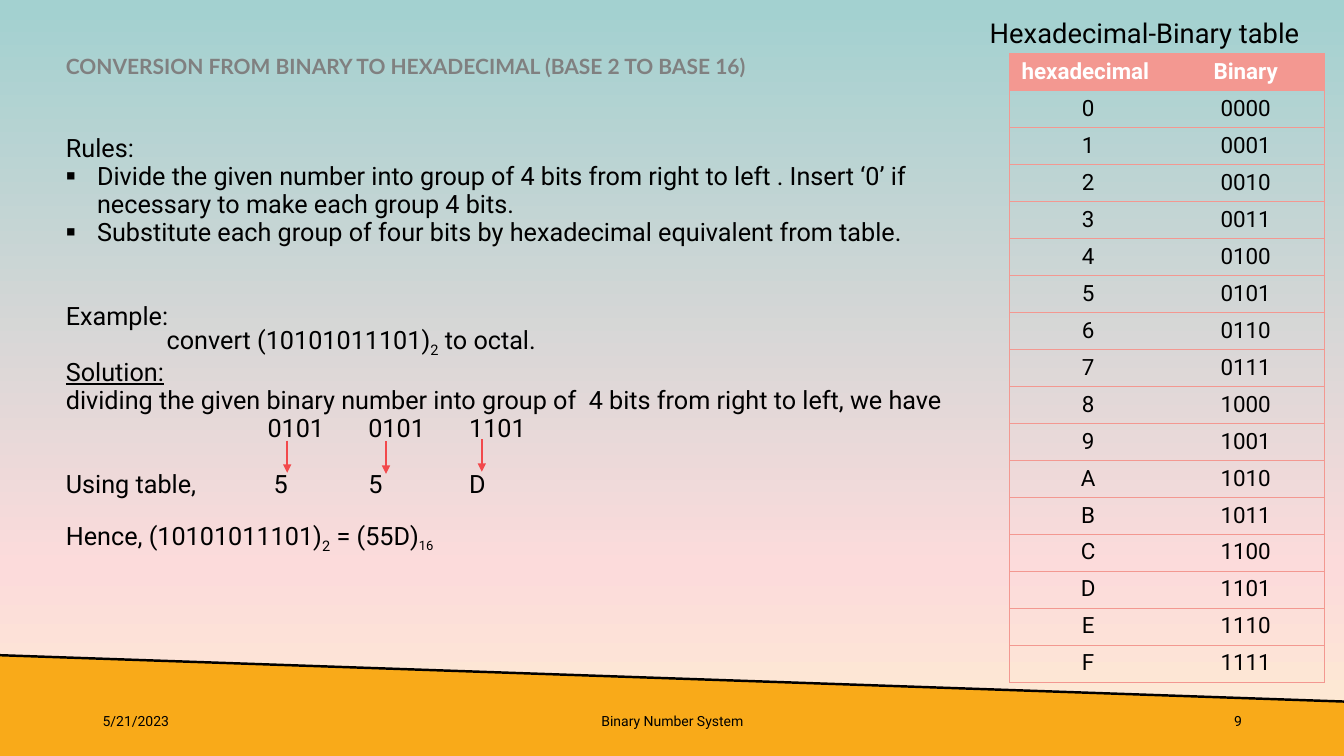
from copy import deepcopy

from lxml import etree
from pptx import Presentation
from pptx import util as u
from pptx.dml.color import RGBColor
from pptx.enum import shapes, text
from pptx.oxml.ns import qn

WIDTH, HEIGHT = u.Inches(13.33), u.Inches(7.5)
TAB_SIZE = str(u.Inches(1))
COLORS = {
    "sky": "A3D1D0", "blush": "FCDBDB", "cream": "FEEED1",
    "band": "F9AA19", "ink": "000000", "heading": "808080",
    "arrow": "F2494C", "table": "F39891", "white": "FFFFFF",
}
PLAIN_TABLE_STYLE = "{2D5ABB26-0587-4C30-8999-92F81FD0307C}"
SUB = {"baseline": -25000}
BODY = [
    ({}, [("Rules:", {})]),
    ({"bullet": "▪"}, [("Divide the given number into group of 4 bits from right to left . "
                        "Insert ‘0’ if necessary to make each group 4 bits.", {})]),
    ({"bullet": "▪"}, [("Substitute each group of four bits by hexadecimal equivalent from table.", {})]),
    ({"before": 40}, [("Example:", {})]),
    ({}, [("\tconvert (10101011101)", {}), ("2", SUB), (" to octal.", {})]),
    ({}, [("Solution:", {"underline": True})]),
    ({}, [("dividing the given binary number into group of  4 bits from right to left, we have", {})]),
    ({}, [("\t\t0101\t0101\t1101", {})]),
    ({"before": 20}, [("Using table,\t 5\t5\tD", {})]),
    ({"before": 20}, [("Hence, (10101011101)", {}), ("2", SUB), (" = (55D)", {}),
                      ("16", {"size": 16, **SUB})]),
]


def across(percent):
    return round(WIDTH * percent / 100)


def down(percent):
    return round(HEIGHT * percent / 100)


def area(left, top, width, height):
    return across(left), down(top), across(width), down(height)


def color(name):
    return RGBColor.from_string(COLORS[name])


def add_run(paragraph, content, size, name="ink", font="Roboto", bold=False,
            underline=False, baseline=0):
    run = paragraph.add_run()
    run.text = content
    run.font.size = u.Pt(size)
    run.font.name = font
    run.font.bold = bold
    run.font.underline = underline
    run.font.color.rgb = color(name)
    if baseline:
        run._r.get_or_add_rPr().set("baseline", str(baseline))


def add_label(slide, box, content, size, align=text.PP_ALIGN.LEFT, leading=None):
    frame = slide.shapes.add_textbox(*area(*box)).text_frame
    frame.word_wrap = True
    frame.vertical_anchor = text.MSO_ANCHOR.MIDDLE
    paragraph = frame.paragraphs[0]
    paragraph.alignment = align
    if leading:
        paragraph.line_spacing = u.Pt(leading)
    add_run(paragraph, content, size)


def add_line(slide, start, end, name, width, arrow=False):
    line = slide.shapes.add_connector(
        shapes.MSO_CONNECTOR.STRAIGHT,
        across(start[0]), down(start[1]), across(end[0]), down(end[1]))
    line.line.color.rgb = color(name)
    line.line.width = u.Pt(width)
    if arrow:
        etree.SubElement(line.line._get_or_add_ln(), qn("a:tailEnd"), type="triangle")
    etree.SubElement(line._element.spPr, qn("a:effectLst"))


def paint_background(slide):
    fill = slide.background.fill
    fill.gradient()
    fill.gradient_angle = 270
    stops = slide.element.find(".//" + qn("a:gsLst"))
    stops.append(deepcopy(stops[-1]))
    for stop, (position, name) in zip(
            fill.gradient_stops, [(0.01, "sky"), (0.75, "blush"), (1, "cream")]):
        stop.position = position
        stop.color.rgb = color(name)


def add_band(slide):
    builder = slide.shapes.build_freeform(0, down(86.67))
    builder.add_line_segments([(WIDTH, down(92.8)), (WIDTH, HEIGHT), (0, HEIGHT)])
    band = builder.convert_to_shape()
    band.shadow.inherit = False
    band.fill.solid()
    band.fill.fore_color.rgb = color("band")
    band.line.fill.background()
    add_line(slide, (0, 86.67), (100, 92.8), "ink", 1.75)


def place(placeholder, box, anchor):
    placeholder.left, placeholder.top, placeholder.width, placeholder.height = area(*box)
    frame = placeholder.text_frame
    frame.word_wrap = True
    frame.auto_size = text.MSO_AUTO_SIZE.NONE
    frame.vertical_anchor = anchor
    return frame


def fill_title(slide):
    frame = place(slide.shapes.title, (4.15, 4.67, 60, 6.67), text.MSO_ANCHOR.MIDDLE)
    paragraph = frame.paragraphs[0]
    paragraph.alignment = text.PP_ALIGN.LEFT
    paragraph.line_spacing = u.Pt(26)
    add_run(paragraph, "CONVERSION FROM BINARY TO HEXADECIMAL (BASE 2 TO BASE 16)",
            15, "heading", "Lato", True)


def widen_tabs(presentation):
    for root in (presentation.element, presentation.slide_master.element):
        for element in root.iter():
            if "defTabSz" in element.attrib:
                element.set("defTabSz", TAB_SIZE)


def format_paragraph(paragraph, bullet=None, before=0):
    paragraph.line_spacing = u.Pt(20)
    paragraph.space_before = u.Pt(before)
    properties = paragraph._p.get_or_add_pPr()
    indent = u.Inches(0.31) if bullet else 0
    properties.set("marL", str(indent))
    properties.set("indent", str(-indent))
    properties.set("defTabSz", TAB_SIZE)
    if bullet:
        etree.SubElement(properties, qn("a:buFont"), typeface="Roboto")
        etree.SubElement(properties, qn("a:buChar"), char=bullet)
    else:
        etree.SubElement(properties, qn("a:buNone"))


def fill_body(slide):
    frame = place(slide.placeholders[1], (4.15, 17.1, 70.95, 57.47), text.MSO_ANCHOR.TOP)
    for index, (layout, runs) in enumerate(BODY):
        paragraph = frame.add_paragraph() if index else frame.paragraphs[0]
        format_paragraph(paragraph, **layout)
        for content, style in runs:
            add_run(paragraph, content, **{"size": 18, **style})


def add_borders(cell, sides):
    properties = cell._tc.get_or_add_tcPr()
    for index, side in enumerate(sides):
        border = etree.Element(qn("a:ln" + side), w=str(u.Pt(0.5)))
        solid = etree.SubElement(border, qn("a:solidFill"))
        etree.SubElement(solid, qn("a:srgbClr"), val=COLORS["table"])
        properties.insert(index, border)


def add_hex_table(slide):
    rows = [("hexadecimal ", "Binary")] + [(f"{n:X}", f"{n:04b}") for n in range(16)]
    box = area(75.1, 7.07, 23.45, 83.07)
    table = slide.shapes.add_table(len(rows), 2, *box).table
    table.horz_banding = False
    table._tbl.tblPr.find(qn("a:tableStyleId")).text = PLAIN_TABLE_STYLE
    for row_index, values in enumerate(rows):
        header = row_index == 0
        for column, value in enumerate(values):
            cell = table.cell(row_index, column)
            cell.vertical_anchor = text.MSO_ANCHOR.TOP
            if header:
                cell.fill.solid()
                cell.fill.fore_color.rgb = color("table")
            else:
                cell.fill.background()
            add_borders(cell, ("R" if column else "L", "T", "B"))
            paragraph = cell.text_frame.paragraphs[0]
            paragraph.alignment = text.PP_ALIGN.CENTER
            add_run(paragraph, value, 16, "white" if header else "ink", bold=header)


def main():
    presentation = Presentation()
    presentation.slide_width, presentation.slide_height = WIDTH, HEIGHT
    widen_tabs(presentation)
    slide = presentation.slides.add_slide(presentation.slide_layouts[1])
    paint_background(slide)
    add_band(slide)
    for left, width, content, align in [
            (6.9, 22.5, "5/21/2023", text.PP_ALIGN.LEFT),
            (33.15, 33.75, "Binary Number System", text.PP_ALIGN.CENTER),
            (70.65, 22.5, "9", text.PP_ALIGN.RIGHT)]:
        add_label(slide, (left, 92.67, width, 5.33), content, 10, align)
    fill_title(slide)
    fill_body(slide)
    for x, top in [(21.37, 58.27), (28.72, 58.4), (35.85, 58.13)]:
        add_line(slide, (x, top), (x, top + 4.27), "arrow", 1.5, arrow=True)
    add_hex_table(slide)
    add_label(slide, (72.9, 1.33, 25.65, 6.67), "Hexadecimal-Binary table", 19.5, leading=20)
    presentation.save("out.pptx")


if __name__ == "__main__":
    main()
